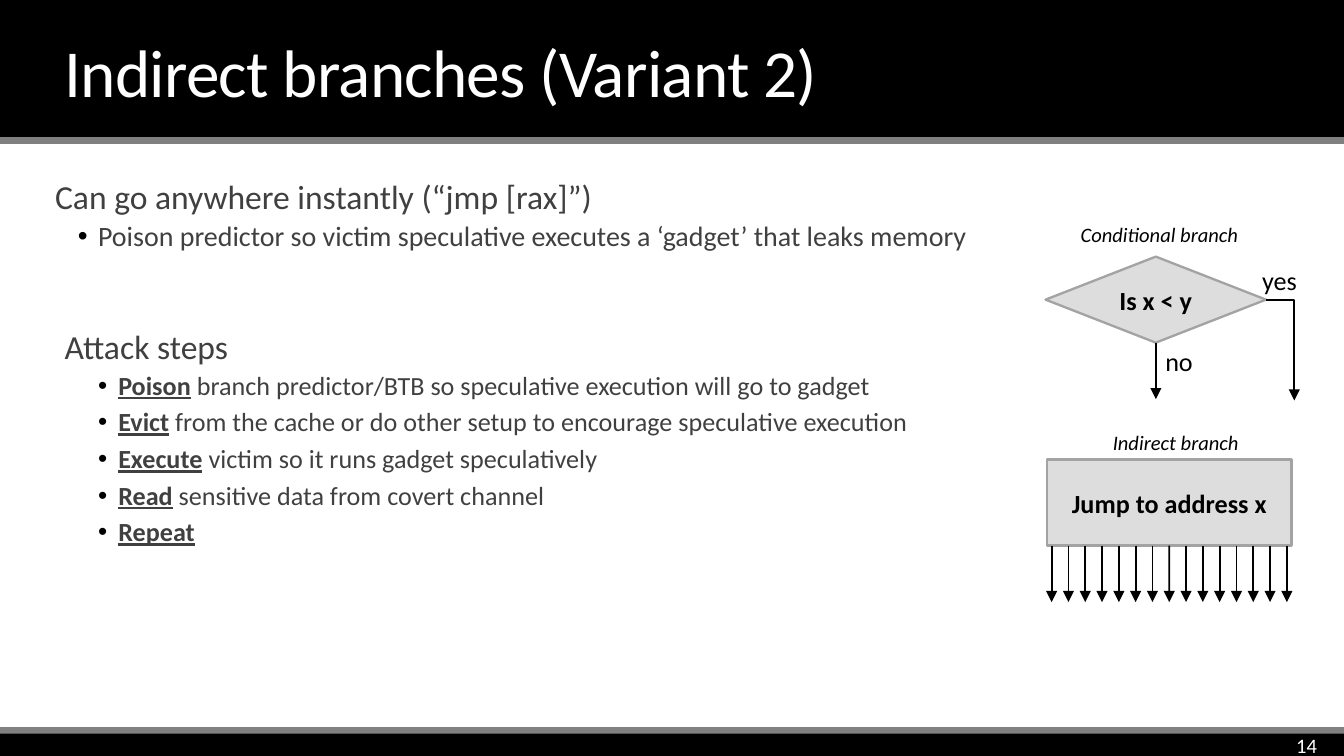
from lxml import etree
from pptx import Presentation
from pptx.dml.color import RGBColor
from pptx.enum.shapes import MSO_CONNECTOR, MSO_SHAPE
from pptx.enum.text import MSO_ANCHOR, MSO_AUTO_SIZE, PP_ALIGN
from pptx.oxml.ns import qn
from pptx.util import Inches, Pt

STRAIGHT, ELBOW = MSO_CONNECTOR.STRAIGHT, MSO_CONNECTOR.ELBOW
RECTANGLE, DECISION = MSO_SHAPE.RECTANGLE, MSO_SHAPE.FLOWCHART_DECISION
TOP, MIDDLE, BOTTOM = MSO_ANCHOR.TOP, MSO_ANCHOR.MIDDLE, MSO_ANCHOR.BOTTOM
LEFT, CENTER, RIGHT = PP_ALIGN.LEFT, PP_ALIGN.CENTER, PP_ALIGN.RIGHT
NO_FIT = MSO_AUTO_SIZE.NONE

FONT = "Calibri"
BLACK, WHITE, GRAY = "000000", "FFFFFF", "808080"
TEXT_GRAY, NODE_FILL, NODE_LINE = "404040", "DDDDDD", "A3A3A3"
BOTTOM_SITE = 2

BANDS = [  # top, height, colour
    (0, 1.03, BLACK),
    (1.02, 0.05, GRAY),
    (5.45, 0.18, BLACK),
    (5.41, 0.05, GRAY),
]
STEPS = [
    ("Poison", " branch predictor/BTB so speculative execution will go to gadget"),
    ("Evict", " from the cache or do other setup to encourage speculative execution"),
    ("Execute", " victim so it runs gadget speculatively"),
    ("Read", " sensitive data from covert channel"),
    ("Repeat", ""),
]


def rgb(value):
    return RGBColor.from_string(value)


def place(shape, left, top, width, height):
    shape.left, shape.top = Inches(left), Inches(top)
    shape.width, shape.height = Inches(width), Inches(height)


def style_font(font, size, color, bold=False, italic=False):
    font.name, font.size = FONT, Pt(size)
    font.color.rgb = rgb(color)
    font.bold, font.italic = bold, italic


def set_frame(frame, anchor=TOP, side=0.07):
    frame.word_wrap = True
    frame.auto_size = NO_FIT
    frame.vertical_anchor = anchor
    frame.margin_left = frame.margin_right = Inches(side)
    frame.margin_top = frame.margin_bottom = Inches(0.04)


def write_line(frame, text, size, color, align=LEFT, bold=False, italic=False):
    frame.text = text
    para = frame.paragraphs[0]
    para.alignment = align
    style_font(para.runs[0].font, size, color, bold, italic)
    return para


def add_label(page, text, left, top, width, height, size, color=BLACK,
              align=LEFT, anchor=TOP, italic=False):
    box = page.shapes.add_textbox(Inches(left), Inches(top), Inches(width), Inches(height))
    set_frame(box.text_frame, anchor)
    write_line(box.text_frame, text, size, color, align, italic=italic)


def add_filled(page, kind, left, top, width, height, fill):
    shape = page.shapes.add_shape(kind, Inches(left), Inches(top), Inches(width), Inches(height))
    shape.shadow.inherit = False
    shape.fill.solid()
    shape.fill.fore_color.rgb = rgb(fill)
    shape.line.fill.background()
    return shape


def add_bands(page):
    """Draw the header and footer bands behind the placeholders."""
    tree = page.shapes._spTree
    for position, (top, height, color) in enumerate(BANDS, start=2):
        band = add_filled(page, RECTANGLE, 0, top, 10, height, color)
        tree.insert(position, band._element)


def add_node(page, kind, text, left, top, width, height):
    node = add_filled(page, kind, left, top, width, height, NODE_FILL)
    node.line.color.rgb = rgb(NODE_LINE)
    node.line.width = Pt(1.25)
    set_frame(node.text_frame, MIDDLE)
    write_line(node.text_frame, text, 14, BLACK, CENTER, bold=True)
    return node


def add_arrow(page, x1, y1, x2, y2, kind=STRAIGHT):
    arrow = page.shapes.add_connector(kind, Inches(x1), Inches(y1), Inches(x2), Inches(y2))
    arrow.line.color.rgb = rgb(BLACK)
    arrow.line.width = Pt(1)
    properties = arrow._element.spPr
    etree.SubElement(properties.find(qn("a:ln")), qn("a:tailEnd"), type="triangle")
    etree.SubElement(properties, qn("a:effectLst"))
    if kind == ELBOW:
        # A single corner: across, then down
        properties.find(qn("a:prstGeom")).set("prst", "bentConnector2")
    return arrow


def set_bullet(para, margin, hanging=0.0):
    """Indent a paragraph; a hanging indent gets a black bullet."""
    properties = para._p.get_or_add_pPr()
    properties.set("marL", str(Inches(margin)))
    properties.set("indent", str(-Inches(hanging)))
    if hanging:
        color = etree.SubElement(properties, qn("a:buClr"))
        etree.SubElement(color, qn("a:srgbClr"), val=BLACK)
        etree.SubElement(properties, qn("a:buChar"), char="•")
    else:
        etree.SubElement(properties, qn("a:buNone"))


def add_item(frame, text, size, level, margin, hanging=0.0, before=1.5, after=3, lead=""):
    """Add a body paragraph, with an optional bold underlined lead word."""
    first = not frame.text
    para = frame.paragraphs[0] if first else frame.add_paragraph()
    para.level = level
    set_bullet(para, margin, hanging)
    para.line_spacing = 0.9
    para.space_before, para.space_after = Pt(before), Pt(after)
    for words, is_lead in ((lead, True), (text, False)):
        if words:
            span = para.add_run()
            span.text = words
            style_font(span.font, size, TEXT_GRAY, bold=is_lead)
            span.font.underline = is_lead


def fill_title(title):
    place(title, 0.41, 0.23, 9.24, 0.64)
    set_frame(title.text_frame, BOTTOM)
    para = write_line(title.text_frame, "Indirect branches (Variant 2)", 36, WHITE)
    para.line_spacing = 0.85
    para.runs[0].font._element.set("spc", "-40")


def fill_body(body):
    place(body, 0.41, 1.3, 9.16, 3.63)
    frame = body.text_frame
    set_frame(frame, side=0)
    add_item(frame, "Can go anywhere instantly (“jmp [rax]”)", 18, 0, 0, before=0, after=1.5)
    add_item(frame, "Poison predictor so victim speculative executes a ‘gadget’ that leaks memory",
             15, 1, 0.32, 0.15)
    add_item(frame, "Attack steps", 18, 0, 0.07, before=39, after=1.5)
    for lead, text in STEPS:
        add_item(frame, text, 14, 2, 0.47, 0.15, lead=lead)


def draw_conditional_branch(page):
    decision = add_node(page, DECISION, "Is x < y", 7.78, 1.91, 1.64, 0.64)
    add_arrow(page, 9.42, 2.23, 9.63, 2.98, ELBOW)
    add_arrow(page, 8.6, 2.55, 8.6, 2.97).begin_connect(decision, BOTTOM_SITE)
    add_label(page, "no", 8.6, 2.53, 0.58, 0.32, 14)
    add_label(page, "yes", 9.32, 1.93, 0.58, 0.32, 14)
    add_label(page, "Conditional branch", 7.97, 1.61, 1.75, 0.27, 11, italic=True)


def draw_indirect_branch(page):
    jump = add_node(page, RECTANGLE, "Jump to address x", 7.79, 3.42, 1.82, 0.64)
    count, gap, center = 15, 0.125, 8.7
    for index in range(count):
        offset = index - count // 2
        x = center + offset * gap
        arrow = add_arrow(page, x, 4.06, x, 4.48)
        if offset == 0:
            arrow.begin_connect(jump, BOTTOM_SITE)
    add_label(page, "Indirect branch", 8.21, 3.16, 1.27, 0.27, 11, italic=True)


def main():
    deck = Presentation()
    deck.slide_width, deck.slide_height = Inches(10), Inches(10) * 9 // 16
    page = deck.slides.add_slide(deck.slide_layouts[1])
    add_bands(page)
    fill_title(page.shapes.title)
    fill_body(page.placeholders[1])
    draw_conditional_branch(page)
    draw_indirect_branch(page)
    add_label(page, "14", 8.79, 5.46, 1.08, 0.17, 11, WHITE, RIGHT, MIDDLE)
    deck.save("out.pptx")


if __name__ == "__main__":
    main()
